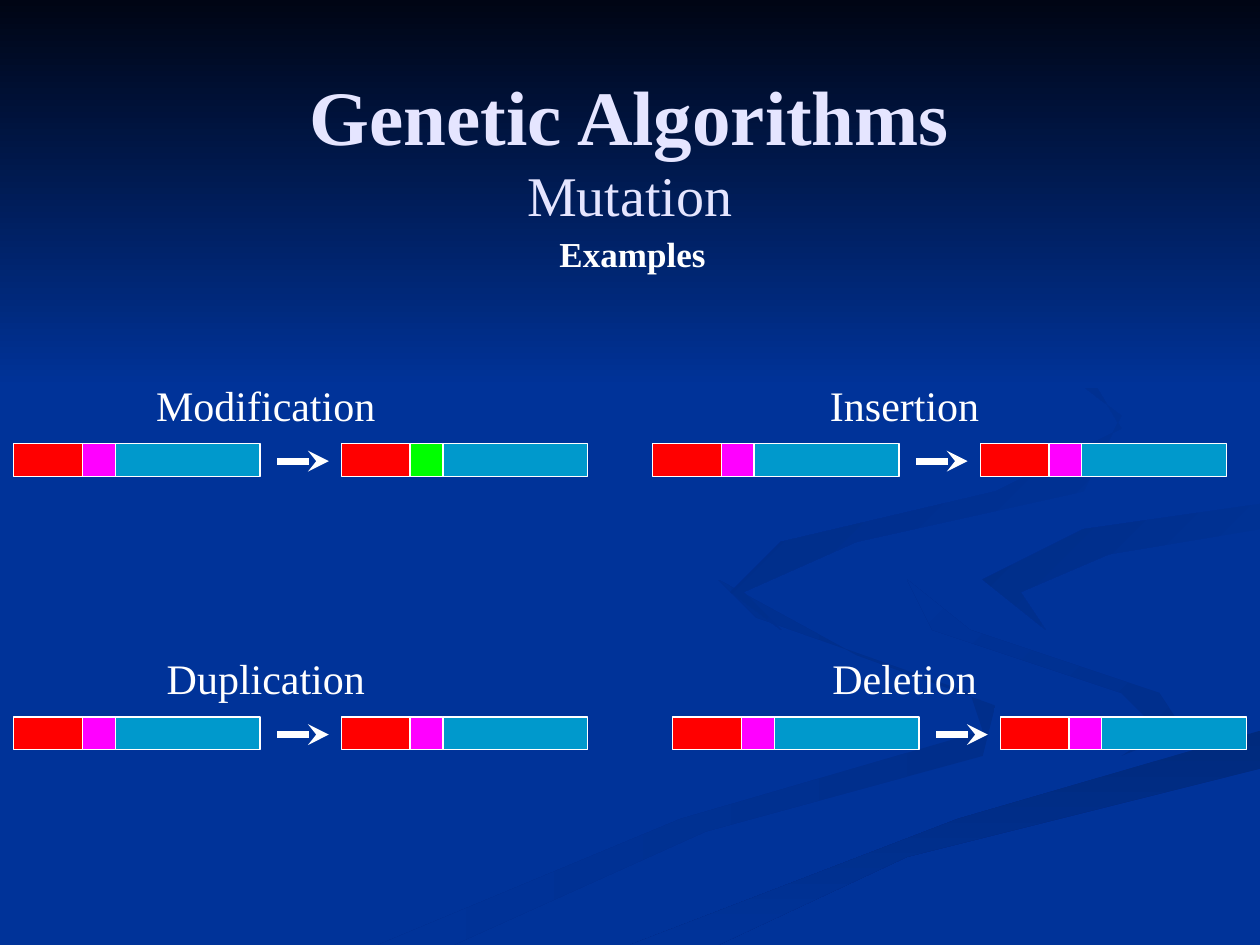
from lxml import etree
from pptx import Presentation
from pptx.dml.color import RGBColor
from pptx.enum.shapes import MSO_CONNECTOR, MSO_SHAPE
from pptx.enum.text import MSO_ANCHOR, PP_ALIGN
from pptx.oxml.ns import qn
from pptx.util import Inches, Pt

RECT = MSO_SHAPE.RECTANGLE
LINE = MSO_CONNECTOR.STRAIGHT
TOP, MIDDLE = MSO_ANCHOR.TOP, MSO_ANCHOR.MIDDLE
CENTER = PP_ALIGN.CENTER

BLUE = RGBColor(0x00, 0x33, 0x99)
NIGHT = RGBColor(0x00, 0x05, 0x14)
DUSK = RGBColor(0x00, 0x2E, 0x8B)
DEEP = RGBColor(0x00, 0x2A, 0x7D)
SHADE = RGBColor(0x00, 0x2D, 0x86)
DARK = RGBColor(0x00, 0x2B, 0x82)
PALE = RGBColor(0xE5, 0xE5, 0xFF)
WHITE = RGBColor(0xFF, 0xFF, 0xFF)
RED = RGBColor(0xFF, 0x00, 0x00)
PINK = RGBColor(0xFF, 0x00, 0xFF)
GREEN = RGBColor(0x00, 0xFF, 0x00)
CYAN = RGBColor(0x00, 0x99, 0xCC)

COLS, ROWS = 100, 75
CELL = Inches(0.1)

HEAD = {"size": Pt(44), "bold": True}
SUB = {"size": Pt(32), "bold": False}
NOTE = {"size": Pt(20), "bold": True}
LABEL = {"size": Pt(24), "bold": False}

RIBBONS = [
    (DUSK, BLUE, 180, [(57, 46), (60, 49), (77, 55), (78, 58), (54, 65), (30, 75),
                       (36, 75), (56, 66), (78, 60), (79, 56), (68, 52)]),
    (DUSK, BLUE, 225, [(72, 46), (74, 50), (89, 55), (92, 58), (89, 60),
                       (94, 58), (92, 55), (77, 50)]),
    (DEEP, BLUE, 90, [(50, 75), (57, 75), (72, 68), (100, 61), (100, 58), (76, 65)]),
    (BLUE, SHADE, 225, [(78, 46), (83, 50), (81, 47), (88, 44), (100, 42),
                        (100, 40), (86, 42)]),
    (BLUE, DARK, 225, [(76, 23), (86, 29), (89, 34), (79, 39), (62, 43), (58, 47),
                       (62, 50), (59, 47), (68, 43), (86, 39), (89, 33)]),
]

CASES = [("Modification", GREEN), ("Insertion", PINK),
         ("Duplication", PINK), ("Deletion", PINK)]
STARTS = (1.1, 51.8, 1.1, 53.4)


class Deck:
    """Draw styled elements on one slide, with lengths in grid cells."""

    def __init__(self):
        self.prs = Presentation()
        self.prs.slide_width, self.prs.slide_height = COLS * CELL, ROWS * CELL
        self.slide = self.prs.slides.add_slide(self.prs.slide_layouts[6])
        self.shapes = self.slide.shapes
        self.font = "Times New Roman"
        fill = self.slide.background.fill
        fill.solid()
        fill.fore_color.rgb = BLUE

    def grid(self, *cells):
        return [int(cell * CELL) for cell in cells]

    def fade(self, shape, start, end, angle):
        shape.shadow.inherit = False
        shape.line.fill.background()
        shape.fill.gradient()
        shape.fill.gradient_angle = 360 - angle
        for stop, color in zip(shape.fill.gradient_stops, (start, end)):
            stop.color.rgb = color

    def ribbon(self, start, end, angle, points):
        form = self.shapes.build_freeform(*points[0], scale=CELL)
        form.add_line_segments(points[1:], close=True)
        self.fade(form.convert_to_shape(), start, end, angle)

    def box(self, *cells):
        return self.shapes.add_shape(RECT, *self.grid(*cells))

    def text(self, cells, lines, color, before=0, anchor=TOP):
        frame = self.shapes.add_textbox(*self.grid(*cells)).text_frame
        frame.word_wrap, frame.vertical_anchor = True, anchor
        para = frame.paragraphs[0]
        para.alignment, para.space_before = CENTER, Pt(before)
        for index, (words, style) in enumerate(lines):
            if index:
                para.add_line_break()
            run = para.add_run()
            run.text = words
            run.font.color.rgb = color
            for key, value in {"name": self.font, **style}.items():
                setattr(run.font, key, value)

    def bar(self, x, y, gene):
        for width, color in ((5.45, RED), (2.6, gene), (11.5, CYAN)):
            part = self.box(x, y, width, 2.6)
            part.shadow.inherit = False
            part.fill.solid()
            part.fill.fore_color.rgb = color
            part.line.color.rgb = WHITE
            part.line.width = Pt(0.75)
            x += width

    def arrow(self, x, y, length):
        link = self.shapes.add_connector(LINE, *self.grid(x, y, x + length, y))
        link.line.color.rgb = WHITE
        link.line.width = Pt(4)
        props = link._element.spPr
        etree.SubElement(props.find(qn("a:ln")), qn("a:tailEnd"), type="stealth")
        etree.SubElement(props, qn("a:effectLst"))


def main():
    deck = Deck()
    for ribbon in RIBBONS:
        deck.ribbon(*ribbon)
    deck.fade(deck.box(0, 0, COLS, 30.8), NIGHT, BLUE, 90)
    title = [("Genetic Algorithms", HEAD), ("Mutation", SUB)]
    deck.text((5, 3, 90, 17.5), title, PALE, anchor=MIDDLE)
    deck.text((41.8, 18, 16.8, 5.4), [("Examples", NOTE)], WHITE, before=5)
    for index, ((name, gene), x) in enumerate(zip(CASES, STARTS)):
        row, col = divmod(index, 2)
        top = 29.6 + 21.7 * row
        y = top + 5.6
        deck.text((2.3 + 50.7 * col, top, 37.6, 5.4), [(name, LABEL)], WHITE, before=6)
        deck.bar(x, y, PINK)
        deck.arrow(x + 20.9, y + 1.4, 4.1)
        deck.bar(x + 26, y, gene)
    deck.prs.save("out.pptx")


if __name__ == "__main__":
    main()
